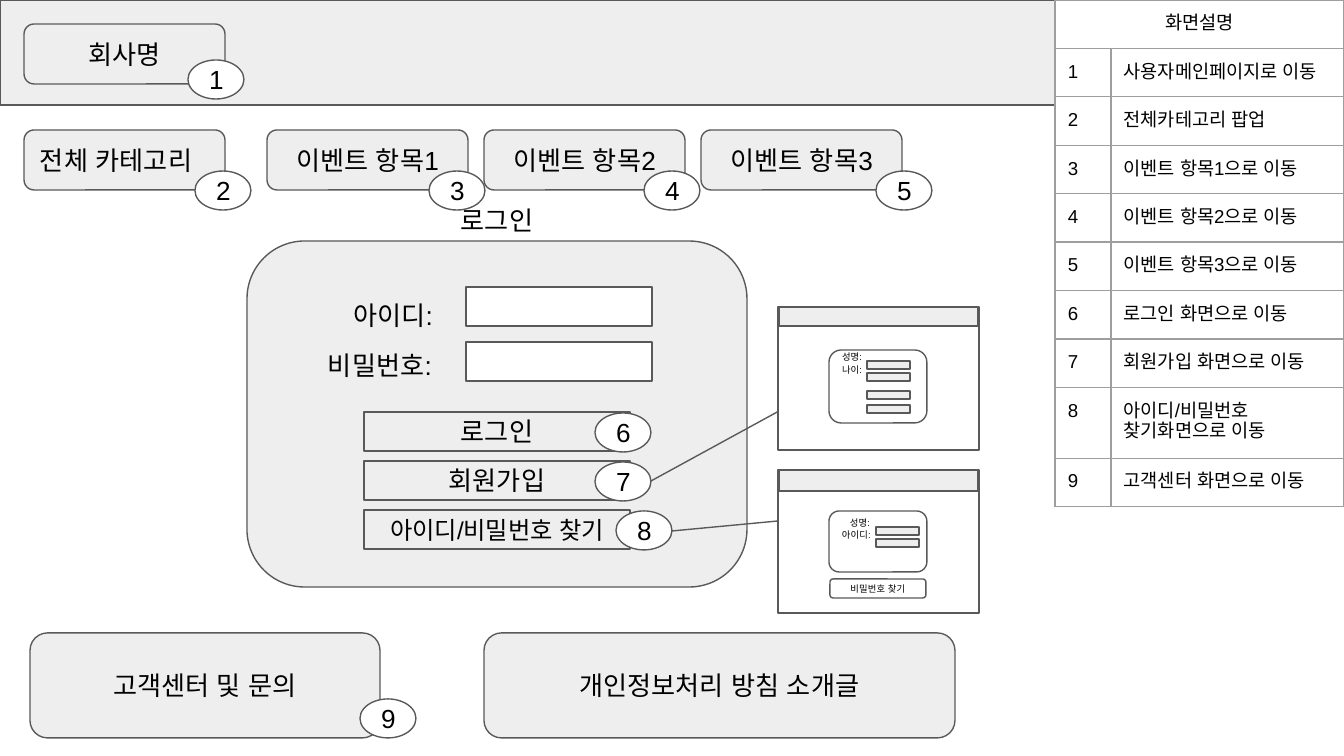
from dataclasses import dataclass
from lxml.etree import SubElement
from pptx import Presentation
from pptx.dml.color import RGBColor
from pptx.enum.shapes import MSO_CONNECTOR as Link, MSO_SHAPE as Kind
from pptx.enum.text import MSO_ANCHOR as Anchor, MSO_AUTO_SIZE as Fit, PP_ALIGN as Align
from pptx.oxml.ns import qn
from pptx.util import Pt

SCALE = 914400 / 134.4
FONT = "Arial"
INK, EDGE, GREY, WHITE, GRID = "000000", "595959", "EEEEEE", "FFFFFF", "9E9E9E"
PAD = 13


def px(n: float) -> int:
    return round(n * SCALE)


def tint(code: str) -> RGBColor:
    return RGBColor.from_string(code)


@dataclass
class Box:
    x: int
    y: int
    w: int
    h: int
    text: str = ""
    fill: str | None = GREY
    kind: Kind = Kind.RECTANGLE
    size: int = 14
    align: Align = Align.CENTER


@dataclass
class Label:
    x: int
    y: int
    w: int
    h: int
    text: str
    size: int = 14
    align: Align = Align.LEFT


deck = Presentation()
deck.slide_width, deck.slide_height = px(1344), px(756)
slide = deck.slides.add_slide(deck.slide_layouts[6])
shapes = slide.shapes


def write(frame, text: str, size: int, align: Align) -> None:
    frame.text = text
    for para in frame.paragraphs:
        para.alignment = align
        for run in para.runs:
            font = run.font
            font.size, font.name, font.bold = Pt(size), FONT, False
            font.color.rgb = tint(INK)
            SubElement(font._element, qn("a:ea"), typeface=FONT)


def inset(item) -> None:
    item.margin_left = item.margin_right = px(PAD)
    item.margin_top = item.margin_bottom = px(PAD)


def draw_box(box: Box) -> None:
    shape = shapes.add_shape(box.kind, px(box.x), px(box.y), px(box.w), px(box.h))
    shape.shadow.inherit = False
    if box.fill:
        shape.fill.solid()
        shape.fill.fore_color.rgb = tint(box.fill)
    else:
        shape.fill.background()
    shape.line.color.rgb = tint(EDGE)
    shape.line.width = Pt(0.75)
    if box.text:
        frame = shape.text_frame
        inset(frame)
        frame.word_wrap = True
        frame.vertical_anchor = Anchor.MIDDLE
        write(frame, box.text, box.size, box.align)


def draw_label(tag: Label) -> None:
    frame = shapes.add_textbox(px(tag.x), px(tag.y), px(tag.w), px(tag.h)).text_frame
    inset(frame)
    frame.word_wrap = True
    frame.auto_size = Fit.SHAPE_TO_FIT_TEXT
    write(frame, tag.text, tag.size, tag.align)


def draw_link(x1: int, y1: int, x2: int, y2: int) -> None:
    link = shapes.add_connector(Link.STRAIGHT, px(x1), px(y1), px(x2), px(y2))
    link.line.color.rgb = tint(EDGE)
    link.line.width = Pt(0.75)
    SubElement(link._element.spPr, qn("a:effectLst"))


def draw_cell(cell, text: str, align: Align = Align.LEFT) -> None:
    cell.fill.background()
    inset(cell)
    write(cell.text_frame, text, 10, align)
    props = cell._tc.get_or_add_tcPr()
    for spot, side in enumerate(("lnL", "lnR", "lnT", "lnB")):
        edge = props.makeelement(qn(f"a:{side}"), {"w": str(Pt(0.75))})
        SubElement(SubElement(edge, qn("a:solidFill")), qn("a:srgbClr"), val=GRID)
        props.insert(spot, edge)


ROUND, OVAL = Kind.ROUNDED_RECTANGLE, Kind.FLOWCHART_CONNECTOR

# Login panel with its fields and buttons
draw_box(Box(247, 241, 500, 346, kind=ROUND))
for y in (287, 342):
    draw_box(Box(466, y, 186, 39, fill=WHITE))
for row, (name, size) in enumerate((("로그인", 14), ("회원가입", 14), ("아이디/비밀번호 찾기", 13))):
    draw_box(Box(364, 412 + 49 * row, 266, 39, name, size=size))
draw_label(Label(340, 286, 126, 59, "아이디:"))
draw_label(Label(315, 336, 142, 59, "비밀번호:"))

# Header, tabs and footer
draw_box(Box(0, 0, 1055, 105))
draw_box(Box(24, 24, 201, 60, "회사명", kind=ROUND))
draw_box(Box(24, 130, 201, 60, "전체 카테고리", kind=ROUND, align=Align.LEFT))
for tab in range(3):
    draw_box(Box(267 + 217 * tab, 130, 201, 60, f"이벤트 항목{tab + 1}", kind=ROUND))
draw_box(Box(30, 633, 350, 105, "고객센터 및 문의", kind=ROUND))
draw_box(Box(484, 633, 471, 105, "개인정보처리 방침 소개글", kind=ROUND))

# Numbered badges
badges = ((188, 60), (195, 171), (429, 171), (644, 171), (876, 171),
          (595, 413), (595, 462), (616, 511), (360, 699))
for num, (x, y) in enumerate(badges, 1):
    draw_box(Box(x, y, 56, 39, str(num), WHITE, OVAL))

# Links to the two preview screens
draw_link(651, 481, 781, 410)
draw_link(672, 531, 778, 521)

# Preview screens: frame, title bar, card
for top, bar, card_top, card in ((307, 19, 350, 73), (470, 21, 511, 61)):
    draw_box(Box(778, top, 201, 143, fill=WHITE))
    draw_box(Box(779, top, 199, bar))
    draw_box(Box(829, card_top, 98, card, fill=None, kind=ROUND))
draw_box(Box(830, 579, 96, 19, "비밀번호 찾기", None, ROUND, 5))
for x, tops in ((867, (361, 373, 391, 405)), (876, (527, 539))):
    for y in tops:
        draw_box(Box(x, y, 43, 8))
for x, y, w, name in ((829, 346, 55, "성명:"), (829, 359, 55, "나이:"),
                      (837, 512, 55, "성명:"), (829, 524, 64, "아이디:")):
    draw_label(Label(x, y, w, 39, name, 5))

# Screen notes table
notes = ["사용자메인페이지로 이동", "전체카테고리 팝업",
         *(f"이벤트 항목{n}으로 이동" for n in (1, 2, 3)),
         "로그인 화면으로 이동", "회원가입 화면으로 이동",
         "아이디/비밀번호 찾기화면으로 이동", "고객센터 화면으로 이동"]
rows = len(notes) + 1
table = shapes.add_table(rows, 2, px(1055), 0, px(289), px(42 * rows)).table
table.first_row = table.horz_banding = False
for col, width in zip(table.columns, (56, 233)):
    col.width = px(width)
table.cell(0, 0).merge(table.cell(0, 1))
draw_cell(table.cell(0, 0), "화면설명", Align.CENTER)
draw_cell(table.cell(0, 1), "")
for num, note in enumerate(notes, 1):
    draw_cell(table.cell(num, 0), str(num))
    draw_cell(table.cell(num, 1), note)

# Login title
draw_label(Label(366, 191, 262, 59, "로그인", align=Align.CENTER))

deck.save("out.pptx")
